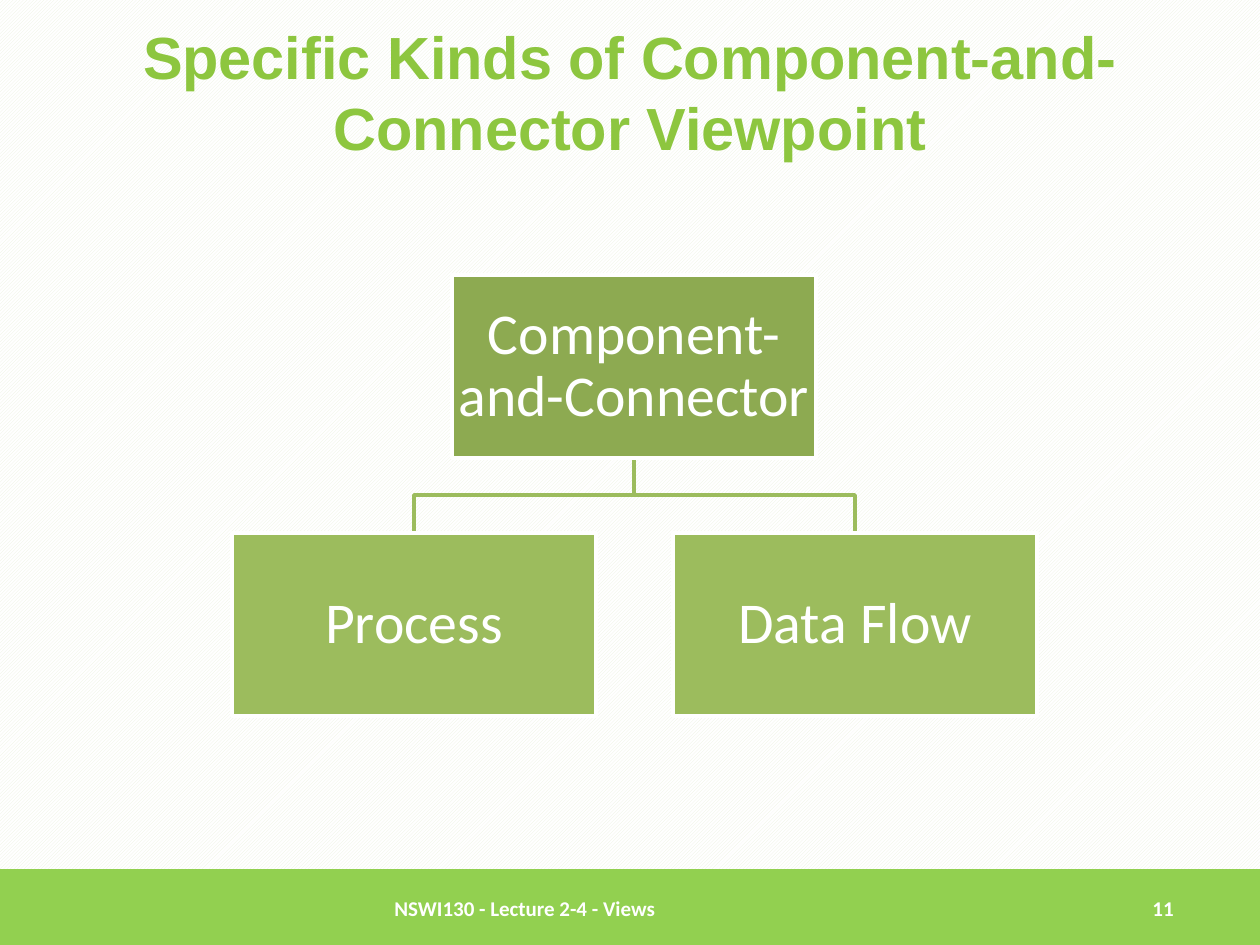
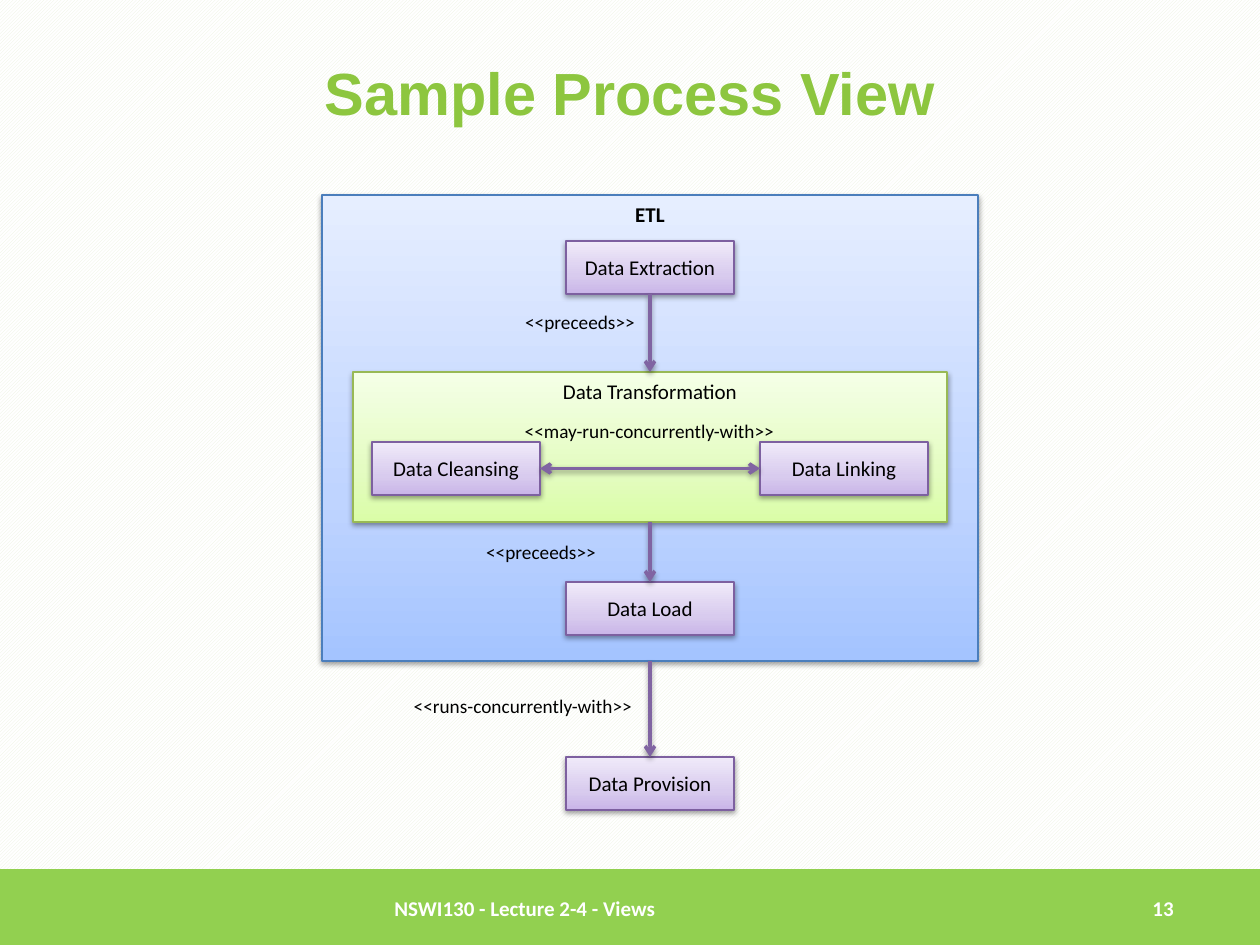
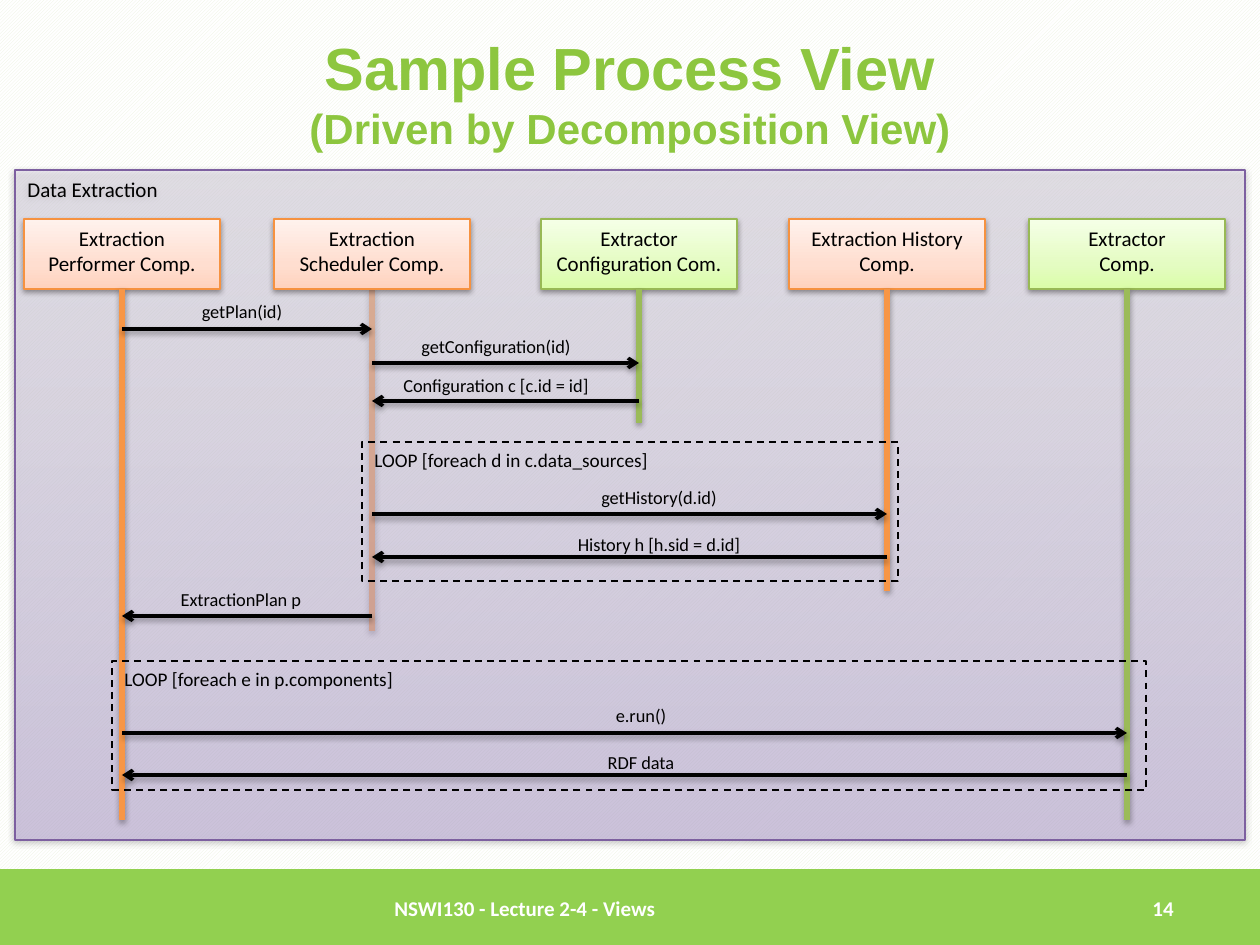
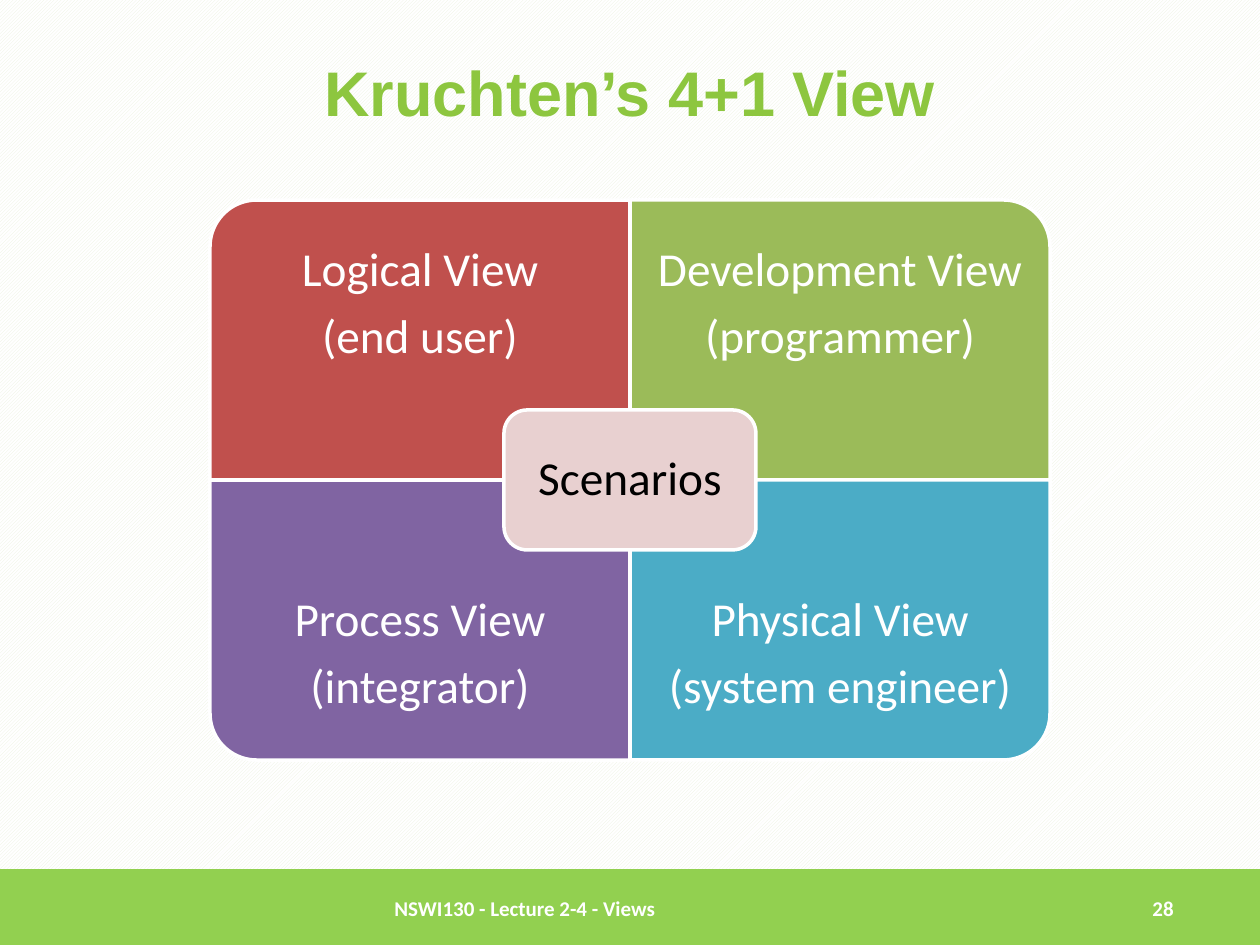
from lxml import etree
from pptx import Presentation
from pptx.dml.color import RGBColor
from pptx.enum import dml, shapes, text
from pptx.oxml import parse_xml
from pptx.oxml.ns import nsdecls, qn
from pptx import util as u

# Colours
WHITE = RGBColor(0xFF, 0xFF, 0xFF)
BLACK = RGBColor(0x00, 0x00, 0x00)
HATCH = RGBColor(0xEB, 0xF1, 0xDE)
BAND = RGBColor(0x92, 0xD0, 0x50)
TITLE = RGBColor(0x8D, 0xC6, 0x3F)
ROOT = RGBColor(0x8D, 0xAA, 0x51)
BRANCH = RGBColor(0x9C, 0xBC, 0x5D)
GREEN = RGBColor(0x9B, 0xBB, 0x59)
GREEN_EDGE = RGBColor(0x98, 0xB9, 0x55)
ORANGE = RGBColor(0xF7, 0x96, 0x46)
ORANGE_EDGE = RGBColor(0xF6, 0x92, 0x40)
PURPLE = RGBColor(0x80, 0x64, 0xA2)
PURPLE_EDGE = RGBColor(0x7D, 0x60, 0xA0)
BLUE_EDGE = RGBColor(0x4B, 0x7E, 0xBC)
RED = RGBColor(0xC0, 0x50, 0x4D)
TEAL = RGBColor(0x4B, 0xAC, 0xC6)
ROSE = RGBColor(0xE8, 0xD0, 0xD0)

# Gradients run upwards: colours at 0, 35 and 100 percent
GRADIENT_STOPS = (0, 35, 100)
BLUE_FADE = ("A4C4FF", "BFD4FF", "E6EEFF")
PURPLE_FADE = ("C9B5E8", "D8CBEE", "F0EAF9")
GREEN_FADE = ("DAFDA7", "E4FCC2", "F5FFE7")
ORANGE_FADE = ("FFD2BD", "FFDED0", "FFF2ED")

SHADOW = (f'<a:effectLst {nsdecls("a")}><a:outerShdw blurRad="40000" dist="20000" '
          'dir="5400000" rotWithShape="0"><a:srgbClr val="000000"><a:alpha val="38000"/>'
          '</a:srgbClr></a:outerShdw></a:effectLst>')

PX = u.Inches(1) / 126
RECT = shapes.MSO_SHAPE.RECTANGLE
LEFT, CENTER = text.PP_ALIGN.LEFT, text.PP_ALIGN.CENTER
TOP, MIDDLE = text.MSO_ANCHOR.TOP, text.MSO_ANCHOR.MIDDLE


def put(page, kind, place, words="", size=12, colour=BLACK, bold=False, align=CENTER,
        anchor=TOP, inset=None, spaced=False, fill=None, opacity=(100, 100, 100),
        line=None, weight=0.75, shadow=False):
    """Add a preset shape, or a text box when kind is None; place is in px."""
    place = [round(length * PX) for length in place]
    if kind is None:
        box = page.shapes.add_textbox(*place)
    else:
        box = page.shapes.add_shape(kind, *place)
        if fill is None:
            box.fill.background()
        elif isinstance(fill, RGBColor):
            box.fill.solid()
            box.fill.fore_color.rgb = fill
        else:
            box.fill.gradient()
            box.fill.gradient_angle = 90
            stops = box._element.spPr.find(".//" + qn("a:gsLst"))
            for stop in list(stops):
                stops.remove(stop)
            for position, shade, alpha in zip(GRADIENT_STOPS, fill, opacity):
                stop = etree.SubElement(stops, qn("a:gs"), pos=str(position * 1000))
                tint = etree.SubElement(stop, qn("a:srgbClr"), val=shade)
                if alpha < 100:
                    etree.SubElement(tint, qn("a:alpha"), val=str(alpha * 1000))
        if line is None:
            box.line.fill.background()
        else:
            box.line.color.rgb = line
            box.line.width = u.Pt(weight)
        if shadow:
            box._element.spPr.append(parse_xml(SHADOW))
        else:
            box.shadow.inherit = False
    frame = box.text_frame
    frame.word_wrap = True
    frame.vertical_anchor = anchor
    if inset is not None:
        frame.margin_left = frame.margin_right = round(inset * PX)
        frame.margin_top = frame.margin_bottom = round(inset * PX)
    frame.text = words
    for para in frame.paragraphs:
        para.alignment = align
        para.font.name = "Calibri"
        para.font.size = u.Pt(size)
        para.font.bold = bold
        para.font.color.rgb = colour
        if spaced:
            para.line_spacing = 0.9
            para.space_after = u.Pt(round(size * 0.35))
    return box


def link(page, start, end, colour, weight=2, heads=()):
    """Add a shadowed straight line between two px points."""
    ends = [round(length * PX) for length in (*start, *end)]
    line = page.shapes.add_connector(shapes.MSO_CONNECTOR.STRAIGHT, *ends)
    line.line.color.rgb = colour
    line.line.width = u.Pt(weight)
    for head in heads:
        etree.SubElement(line.line._get_or_add_ln(), qn("a:" + head), type="arrow")
    line._element.spPr.append(parse_xml(SHADOW))
    return line


deck = Presentation()
deck.slide_width, deck.slide_height = u.Inches(10), u.Inches(7.5)

# Shared background
backdrop = deck.slide_master.background.fill
backdrop.patterned()
backdrop.pattern = dml.MSO_PATTERN.LIGHT_UPWARD_DIAGONAL
backdrop.fore_color.rgb = HATCH
backdrop.back_color.rgb = WHITE

# Shared title, band and footer
pages = []
for number, heading, size in (
        (11, "Specific Kinds of Component-and-Connector Viewpoint", 34),
        (13, "Sample Process View", 34),
        (14, "Sample Process View\v(Driven by Decomposition View)", 34),
        (28, "Kruchten’s 4+1 View", 36)):
    page = deck.slides.add_slide(deck.slide_layouts[5])
    title = page.shapes.title
    title.left, title.top, title.width, title.height = (
        round(length * PX) for length in (63, 38, 1134, 107))
    frame = title.text_frame
    frame.text = heading
    frame.auto_size = text.MSO_AUTO_SIZE.NONE
    frame.vertical_anchor = MIDDLE
    para = frame.paragraphs[0]
    para.alignment = CENTER
    para.font.name = "Arial"
    para.font.size = u.Pt(size)
    para.font.bold = True
    para.font.color.rgb = TITLE
    for span in para.runs[1:]:
        span.font.size = u.Pt(24)

    put(page, RECT, (0, 869, 1260, 79), fill=BAND)
    for left, width, words in ((382, 758, "NSWI130 - Lecture 2-4 - Views"),
                               (1140, 105, str(number))):
        put(page, None, (left, 869, width, 79), words, colour=WHITE, bold=True,
            align=LEFT, anchor=MIDDLE)
    pages.append(page)
kinds_page, process_page, sequence_page, views_page = pages

# Viewpoint tree: branches first, boxes on top
for x in (855, 414):
    outline = kinds_page.shapes.build_freeform(634, 456, scale=PX)
    outline.add_line_segments([(634, 495), (x, 495), (x, 533)], close=False)
    branch = outline.convert_to_shape()
    branch.fill.background()
    branch.line.color.rgb = BRANCH
    branch.line.width = u.Pt(2)
    branch.shadow.inherit = False
for x, top, words, fill in ((634, 275, "Component-and-Connector", ROOT),
                            (414, 533, "Process", BRANCH),
                            (855, 533, "Data Flow", BRANCH)):
    put(kinds_page, RECT, (x - 182, top, 364, 183), words, 33, WHITE, anchor=MIDDLE,
        inset=3, spaced=True, fill=fill, line=WHITE, weight=2)

# Process view: containers, then steps
etl = put(process_page, RECT, (322, 195, 656, 466), "ETL", bold=True,
          fill=BLUE_FADE, line=BLUE_EDGE, shadow=True)
transformation = put(process_page, RECT, (353, 372, 594, 150), "Data Transformation",
                     fill=GREEN_FADE, line=GREEN_EDGE, shadow=True)
extraction, cleansing, linking, load, provision = [
    put(process_page, RECT, (left, top, 168, 53), words, anchor=MIDDLE,
        fill=PURPLE_FADE, line=PURPLE_EDGE, shadow=True)
    for left, top, words in ((566, 241, "Data Extraction"), (372, 442, "Data Cleansing"),
                             (760, 442, "Data Linking"), (566, 582, "Data Load"),
                             (566, 757, "Data Provision"))]

# Process view: arrows joined to the steps
for upper, lower, start, end in ((extraction, transformation, 294, 372),
                                 (transformation, load, 522, 582),
                                 (etl, provision, 661, 757)):
    arrow = link(process_page, (650, start), (650, end), PURPLE, heads=["tailEnd"])
    arrow.begin_connect(upper, 2)
    arrow.end_connect(lower, 0)
arrow = link(process_page, (760, 468), (540, 468), PURPLE, heads=["headEnd", "tailEnd"])
arrow.begin_connect(linking, 1)
arrow.end_connect(cleansing, 3)

for left, top, width, words in ((471, 304, 218, "<<preceeds>>"),
                                (461, 413, 377, "<<may-run-concurrently-with>>"),
                                (432, 534, 218, "<<preceeds>>"),
                                (397, 688, 252, "<<runs-concurrently-with>>")):
    put(process_page, None, (left, top, width, 36), words, 11)

# Sequence diagram: panel, participants and lifelines
panel = put(sequence_page, RECT, (15, 170, 1230, 670), "Data Extraction", align=LEFT,
            fill=PURPLE_FADE, opacity=(49, 49, 46), line=PURPLE_EDGE, shadow=True)
PERFORMER, SCHEDULER, CONFIGURATION, HISTORY, EXTRACTOR = 122, 372, 639, 887, 1127
ORANGE_STYLE = (ORANGE_FADE, ORANGE_EDGE, ORANGE)
GREEN_STYLE = (GREEN_FADE, GREEN_EDGE, GREEN)
for x, words, end, (fade, edge, colour) in (
        (SCHEDULER, "Extraction Scheduler Comp.", 631, ORANGE_STYLE),
        (CONFIGURATION, "Extractor Configuration Com.", 423, GREEN_STYLE),
        (HISTORY, "Extraction History Comp.", 591, ORANGE_STYLE),
        (PERFORMER, "Extraction Performer Comp.", 820, ORANGE_STYLE),
        (EXTRACTOR, "Extractor\nComp.", 820, GREEN_STYLE)):
    participant = put(sequence_page, RECT, (x - 98, 219, 196, 70), words,
                      fill=fade, line=edge, shadow=True)
    lifeline = link(sequence_page, (x, 289), (x, end), colour, 3)
    lifeline.begin_connect(participant, 2)
    if x == SCHEDULER:  # this lifeline runs behind the translucent panel
        panel._element.addprevious(lifeline._element)

# Sequence diagram: messages with their labels
for y, start, end, left, top, width, words in (
        (329, PERFORMER, SCHEDULER, 142, 294, 200, "getPlan(id)"),
        (363, SCHEDULER, CONFIGURATION, 392, 329, 208, "getConfiguration(id)"),
        (401, CONFIGURATION, SCHEDULER, 382, 368, 228, "Configuration c [c.id = id]"),
        (514, SCHEDULER, HISTORY, 530, 480, 258, "getHistory(d.id)"),
        (557, HISTORY, SCHEDULER, 530, 527, 258, "History h [h.sid = d.id]"),
        (616, SCHEDULER, PERFORMER, 139, 582, 204, "ExtractionPlan p"),
        (733, PERFORMER, EXTRACTOR, 512, 698, 258, "e.run()"),
        (775, EXTRACTOR, PERFORMER, 512, 745, 258, "RDF data")):
    link(sequence_page, (start, y), (end, y), BLACK, heads=["tailEnd"])
    put(sequence_page, None, (left, top, width, 35), words, 10.5)

# Sequence diagram: loop frames
for place, words in (((362, 442, 536, 139), "LOOP [foreach d in c.data_sources]"),
                     ((112, 661, 1034, 129), "LOOP [foreach e in p.components]")):
    loop = put(sequence_page, RECT, place, words, 11, align=LEFT, line=BLACK, weight=1)
    loop.line.dash_style = dml.MSO_LINE.DASH

# 4+1 views: quadrants turned so that the round corner points outwards
for column, row, turn, fill, words in (
        (0, 0, 270, RED, "Logical View\n(end user)"),
        (1, 0, 0, GREEN, "Development View\n(programmer)"),
        (0, 1, 180, PURPLE, "Process View\n(integrator)"),
        (1, 1, 90, TEAL, "Physical View\n(system engineer)")):
    left, top = 210 + 420 * column, 200 + 280 * row
    width, height = (280, 420) if turn in (90, 270) else (420, 280)
    quadrant = put(views_page, shapes.MSO_SHAPE.ROUND_1_RECTANGLE,
                   (left + 210 - width / 2, top + 140 - height / 2, width, height),
                   fill=fill, line=WHITE, weight=2)
    quadrant.rotation = turn
    put(views_page, None, (left, top + 70 * row, 420, 210), words, 27, WHITE,
        anchor=MIDDLE, inset=26, spaced=True)
put(views_page, shapes.MSO_SHAPE.ROUNDED_RECTANGLE, (504, 410, 252, 140), "Scenarios", 27,
    anchor=MIDDLE, inset=14, spaced=True, fill=ROSE, line=WHITE, weight=2)

deck.save("out.pptx")
